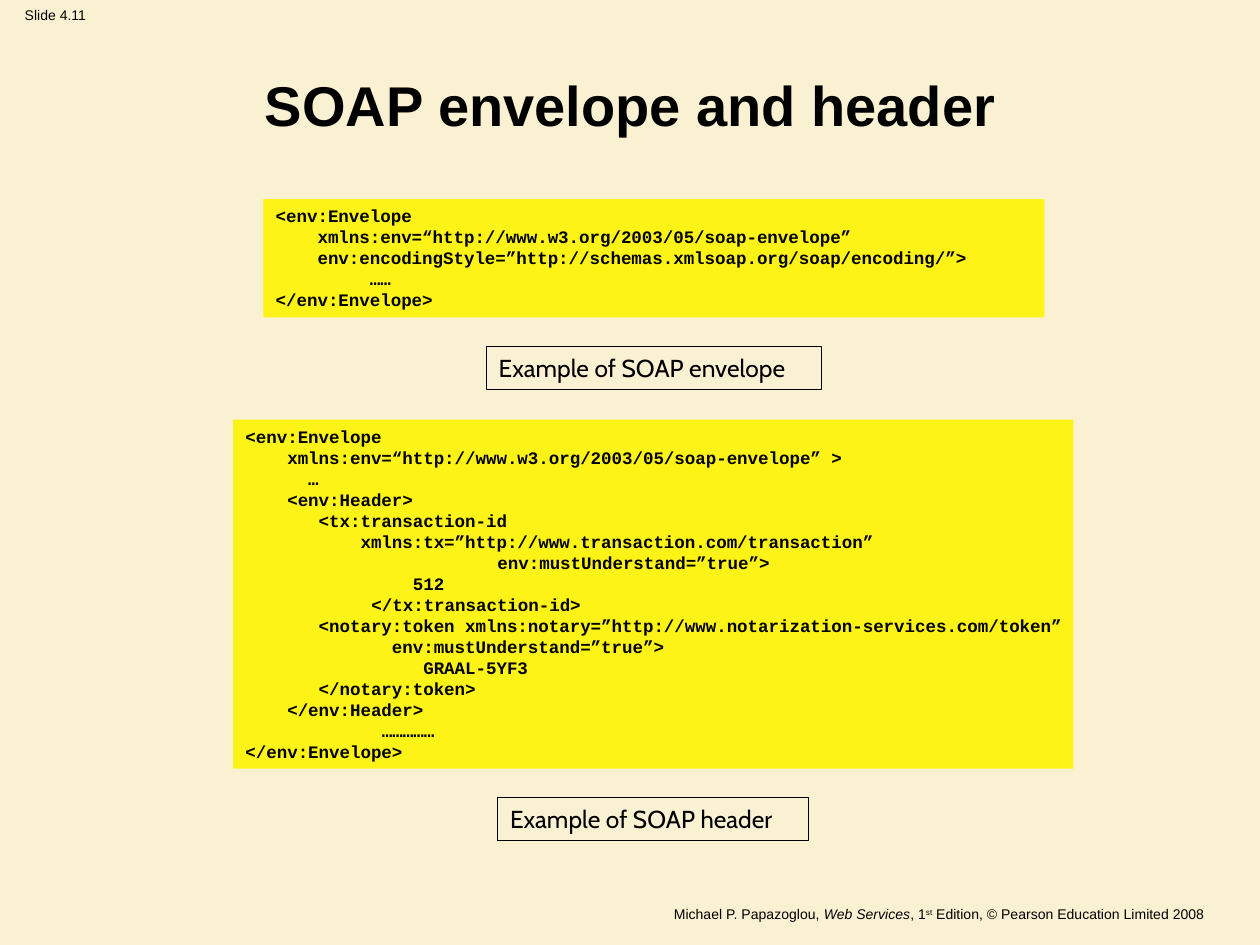
from lxml import etree
from pptx import Presentation
from pptx.dml.color import RGBColor
from pptx.enum.shapes import MSO_SHAPE
from pptx.enum.text import MSO_ANCHOR, PP_ALIGN
from pptx.oxml.ns import qn
from pptx.util import Inches, Pt

RECT = MSO_SHAPE.RECTANGLE
TOP, BOTTOM = MSO_ANCHOR.TOP, MSO_ANCHOR.BOTTOM
LEFT, MID, RIGHT = PP_ALIGN.LEFT, PP_ALIGN.CENTER, PP_ALIGN.RIGHT

CREAM = RGBColor(0xFA, 0xF0, 0xD2)
YELLOW = RGBColor(0xFE, 0xF3, 0x16)
BLACK = RGBColor(0, 0, 0)

ENVELOPE = """<env:Envelope
    xmlns:env=“http://www.w3.org/2003/05/soap-envelope”
    env:encodingStyle=”http://schemas.xmlsoap.org/soap/encoding/”>
         ……
</env:Envelope>"""

HEADER = """<env:Envelope
    xmlns:env=“http://www.w3.org/2003/05/soap-envelope” >
      …
    <env:Header>
       <tx:transaction-id
           xmlns:tx=”http://www.transaction.com/transaction”
\t\tenv:mustUnderstand=”true”>
                512
\t</tx:transaction-id>
       <notary:token xmlns:notary=”http://www.notarization-services.com/token”
              env:mustUnderstand=”true”>
                 GRAAL-5YF3
       </notary:token>
    </env:Header>
\t ……………
</env:Envelope>"""


def add_run(para, text, font="Arial", size=8, bold=False, italic=False, base=0):
    run = para.add_run()
    run.text = text
    run.font.name = font
    run.font.size = Pt(size)
    run.font.bold = bold
    run.font.italic = italic
    run.font.color.rgb = BLACK
    if base:
        run.font._element.set("baseline", str(base * 1000))


def set_tabs(para, count=7):
    """Put a left tab stop at every inch."""
    tabs = etree.SubElement(para._p.get_or_add_pPr(), qn("a:tabLst"))
    for inch in range(1, count + 1):
        etree.SubElement(tabs, qn("a:tab"), pos=str(Inches(inch)), algn="l")


class Page:
    """Holds the style and the current slide."""

    def __init__(self, deck):
        self.slide = deck.slides.add_slide(deck.slide_layouts[5])
        fill = self.slide.background.fill
        fill.solid()
        fill.fore_color.rgb = CREAM

    def frame(self, shape, wrap=True, anchor=TOP, right=0.1):
        frame = shape.text_frame
        frame.word_wrap = wrap
        frame.vertical_anchor = anchor
        frame.margin_left, frame.margin_right = Inches(0.1), Inches(right)
        frame.margin_top = frame.margin_bottom = Inches(0.05)
        return frame

    def title(self, text, *box):
        shape = self.slide.shapes.title
        shape.left, shape.top, shape.width, shape.height = map(Inches, box)
        para = self.frame(shape, anchor=BOTTOM).paragraphs[0]
        para.alignment = MID
        add_run(para, text, size=32, bold=True)

    def note(self, parts, *box, align=LEFT, wrap=True):
        shape = self.slide.shapes.add_textbox(*map(Inches, box))
        para = self.frame(shape, wrap).paragraphs[0]
        para.alignment = align
        for text, style in parts:
            add_run(para, text, **style)

    def rect(self, *box):
        shape = self.slide.shapes.add_shape(RECT, *map(Inches, box))
        shape.shadow.inherit = False
        return shape

    def code(self, text, *box):
        shape = self.rect(*box)
        shape.fill.solid()
        shape.fill.fore_color.rgb = YELLOW
        shape.line.fill.background()
        frame = self.frame(shape, right=0)
        for i, line in enumerate(text.split("\n")):
            para = frame.add_paragraph() if i else frame.paragraphs[0]
            para.alignment = LEFT
            set_tabs(para)
            add_run(para, line, font="Courier New", size=10, bold=True)

    def label(self, text, *box):
        shape = self.rect(*box)
        shape.fill.background()
        shape.line.color.rgb = BLACK
        shape.line.width = Pt(0.75)
        para = self.frame(shape).paragraphs[0]
        para.alignment = LEFT
        add_run(para, text, font="Cabin", size=14)


def main():
    deck = Presentation()
    deck.slide_width, deck.slide_height = Inches(10), Inches(7.5)
    page = Page(deck)

    # Slide number and credit line
    page.note([("Slide 4.11", {})], 0, 0, 0.88, 0.24, align=MID, wrap=False)
    credit = [
        ("Michael P. Papazoglou, ", {}),
        ("Web Services", {"italic": True}),
        (", 1", {}),
        ("st", {"base": 30}),
        (" Edition, © Pearson Education Limited 2008 ", {}),
    ]
    page.note(credit, 0.24, 7.14, 9.45, 0.21, align=RIGHT)

    # Title
    page.title("SOAP envelope and header", 0.17, 0.31, 9.67, 0.83)

    # Code listings with their captions
    page.code(ENVELOPE, 2.09, 1.58, 6.2, 0.94)
    page.label("Example of SOAP envelope", 3.86, 2.75, 2.66, 0.34)
    page.code(HEADER, 1.85, 3.33, 6.67, 2.77)
    page.label("Example of SOAP header", 3.95, 6.33, 2.47, 0.34)

    deck.save("out.pptx")


if __name__ == "__main__":
    main()
